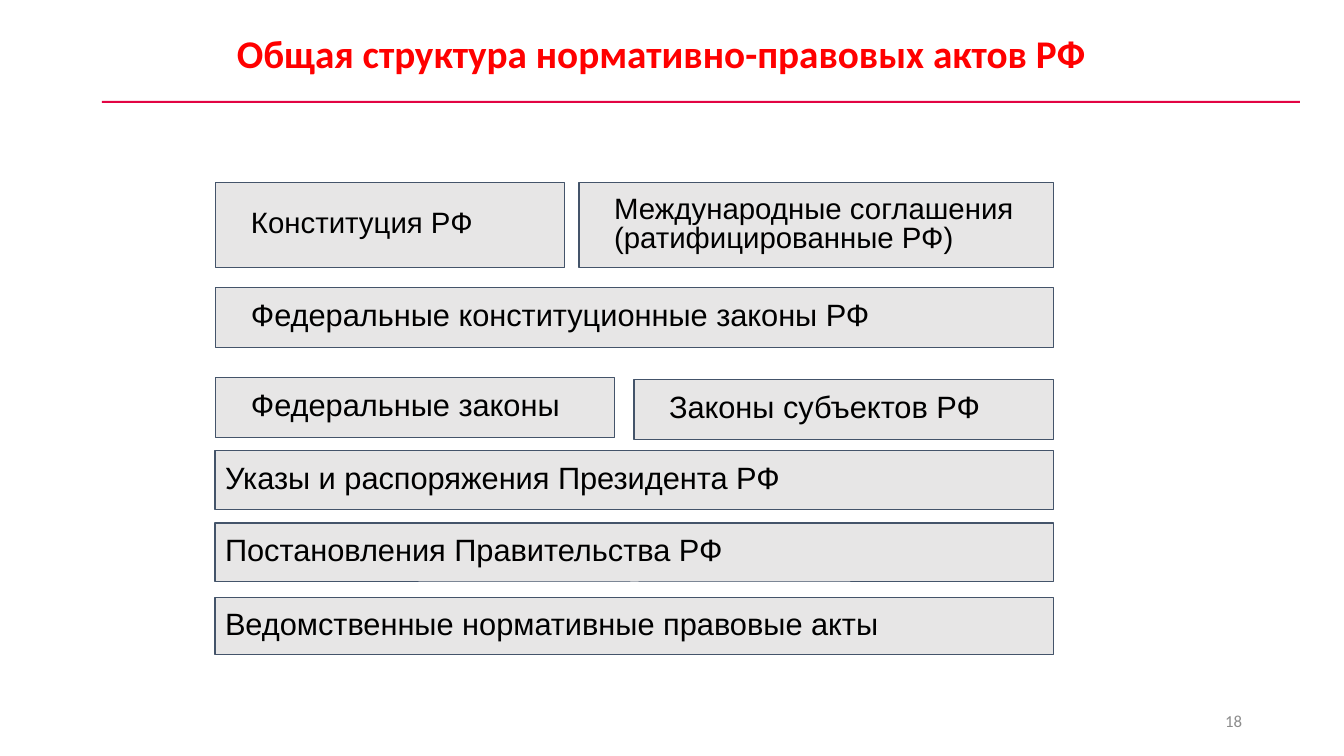
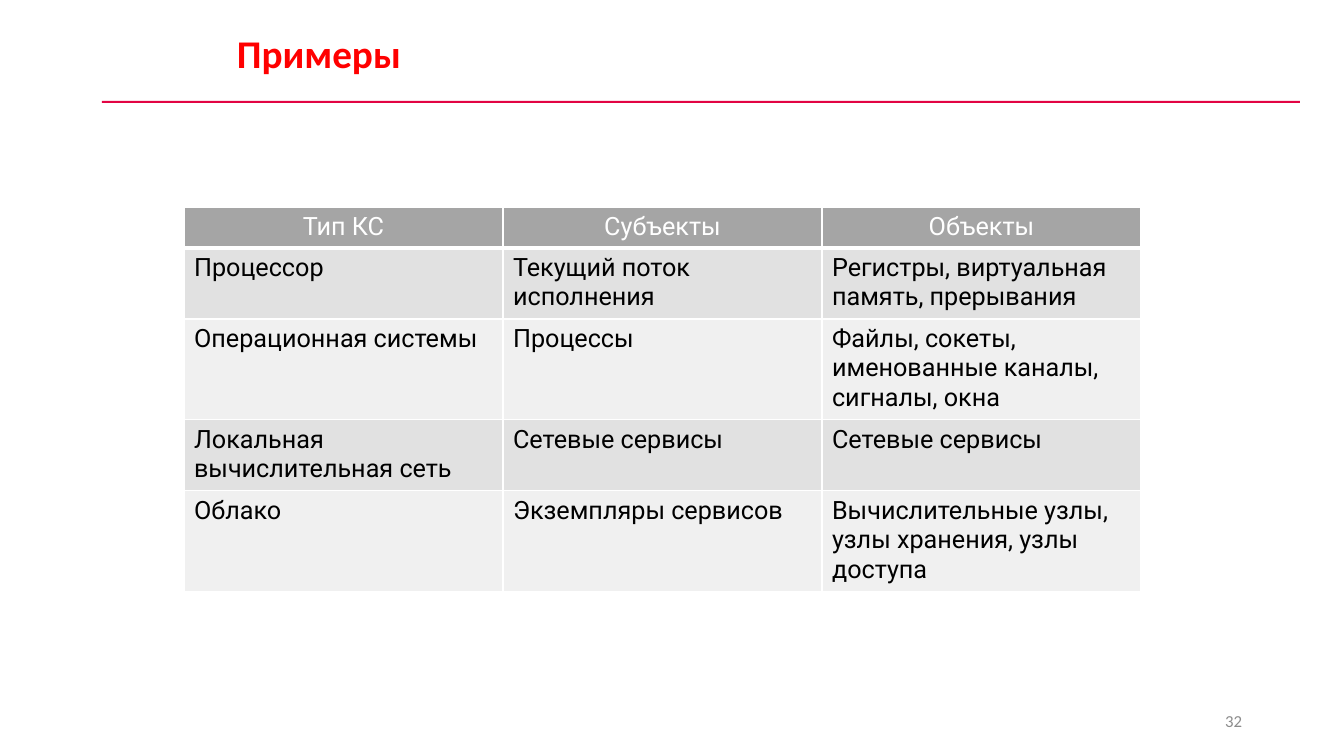
from collections import namedtuple

from lxml.etree import SubElement
from pptx import Presentation
from pptx.dml.color import RGBColor
from pptx.enum.shapes import MSO_SHAPE
from pptx.enum.text import MSO_ANCHOR, PP_ALIGN
from pptx.oxml import parse_xml
from pptx.oxml.ns import nsdecls, qn
from pptx.util import Emu, Pt

PX = 914400 / 100.8
PAGE_SIZE = (1344, 756)
COLORS = {
    "title": "FF0000",
    "rule": "E20443",
    "page_number": "8C8C8C",
    "act_fill": "E7E6E6",
    "act_line": "44546A",
    "text": "000000",
    "white": "FFFFFF",
    "header": "A5A5A5",
    "band_dark": "E1E1E1",
    "band_light": "F0F0F0",
}
Box = namedtuple("Box", "left top width height")
Act = namedtuple("Act", "text box size indent space", defaults=(22, 0, 10))

TITLE_FONT = {"name": "Calibri", "size": Pt(28), "bold": True}
NUMBER_FONT = {"name": "Calibri", "size": Pt(12)}
TABLE_FONT = {"name": "Roboto", "size": Pt(18), "bold": False}

INDENT = 25
ACTS_BOX = Box(215, 183, 839, 472)
# Boxes of the acts are relative to ACTS_BOX.
ACTS = [
    Act("Конституция РФ", Box(1, 0, 349, 85), 21, INDENT, 0),
    Act("Международные соглашения (ратифицированные РФ)",
        Box(364, 0, 475, 85), 21, INDENT, 0),
    Act("Федеральные конституционные законы РФ",
        Box(1, 105, 838, 60), indent=INDENT),
    Act("Федеральные законы", Box(1, 195, 399, 60), indent=INDENT),
    Act("Законы субъектов РФ", Box(419, 197, 420, 60), indent=INDENT),
    Act("Указы и распоряжения Президента РФ", Box(0, 268, 839, 59)),
    Act("Постановления Правительства РФ", Box(0, 340, 839, 59)),
    Act("Ведомственные нормативные правовые акты", Box(0, 415, 839, 57)),
]

TABLE_BOX = Box(184, 207, 957, 383)
ROW_HEIGHTS = [41, 71, 100, 71, 100]
EXAMPLES = [
    ["Тип КС", "Субъекты", "Объекты"],
    ["Процессор", "Текущий поток исполнения",
     "Регистры, виртуальная память, прерывания"],
    ["Операционная системы", "Процессы",
     "Файлы, сокеты, именованные каналы, сигналы, окна"],
    ["Локальная вычислительная сеть", "Сетевые сервисы", "Сетевые сервисы"],
    ["Облако", "Экземпляры сервисов",
     "Вычислительные узлы, узлы хранения, узлы доступа"],
]


def px(length):
    return Emu(round(length * PX))


def place(box):
    return [px(length) for length in box]


def color(name):
    return RGBColor.from_string(COLORS[name])


def set_all(target, values):
    for name, value in values.items():
        setattr(target, name, value)


def write(frame, text, font, color_name, paragraph=None):
    para = frame.paragraphs[0]
    set_all(para, paragraph or {})
    span = para.add_run()
    span.text = text
    set_all(span.font, font)
    span.font.color.rgb = color(color_name)
    return para


def add_text(page, box, text, font, color_name, frame=None, paragraph=None):
    text_frame = page.shapes.add_textbox(*place(box)).text_frame
    set_all(text_frame, {"word_wrap": True, **(frame or {})})
    write(text_frame, text, font, color_name, paragraph)


def add_rectangle(page, box, fill):
    shape = page.shapes.add_shape(MSO_SHAPE.RECTANGLE, *place(box))
    shape.shadow.inherit = False
    shape.fill.solid()
    shape.fill.fore_color.rgb = color(fill)
    shape.line.fill.background()
    return shape


def add_page(deck, title, number):
    """Adds a blank page with the shared title, rule and page number."""
    page = deck.slides.add_slide(deck.slide_layouts[6])
    add_rectangle(page, Box(102, 101, 1198, 2), "rule")
    add_text(page, Box(227, 24, 1080, 57), title, TITLE_FONT, "title")
    add_text(page, Box(950, 701, 302, 40), number, NUMBER_FONT, "page_number",
             {"vertical_anchor": MSO_ANCHOR.MIDDLE},
             {"alignment": PP_ALIGN.RIGHT})
    return page


def add_act(page, area, act):
    box = act.box._replace(left=area.left + act.box.left,
                           top=area.top + act.box.top)
    shape = add_rectangle(page, box, "act_fill")
    shape.line.color.rgb = color("act_line")
    shape.line.width = Pt(0.75)
    frame = shape.text_frame
    margins = {f"margin_{side}": px(10)
               for side in ("left", "top", "right", "bottom")}
    set_all(frame, {"word_wrap": True, "vertical_anchor": MSO_ANCHOR.MIDDLE,
                    **margins})
    para = write(frame, act.text, {"name": "Arial", "size": Pt(act.size)},
                 "text", {"alignment": PP_ALIGN.LEFT, "line_spacing": 0.8,
                          "space_before": Pt(act.space)})
    properties = para._p.get_or_add_pPr()
    properties.set("marL", str(px(act.indent)))
    properties.set("indent", "0")


def add_acts(page, area):
    for act in ACTS:
        add_act(page, area, act)


def add_borders(cell, bottom_width):
    """Draws white cell borders, one point wide except the bottom one."""
    properties = cell._tc.get_or_add_tcPr()
    widths = {"lnL": 1, "lnR": 1, "lnT": 1, "lnB": bottom_width}
    for position, (tag, width) in enumerate(widths.items()):
        border = parse_xml(f'<a:{tag} {nsdecls("a")} w="{Pt(width)}"/>')
        fill = SubElement(border, qn("a:solidFill"))
        SubElement(fill, qn("a:srgbClr"), val=COLORS["white"])
        properties.insert(position, border)


def fill_cell(cell, text, row_index):
    is_header = row_index == 0
    bands = ("band_light", "band_dark")
    cell.fill.solid()
    cell.fill.fore_color.rgb = color(
        "header" if is_header else bands[row_index % 2])
    add_borders(cell, 3 if is_header else 1)
    write(cell.text_frame, text, TABLE_FONT,
          "white" if is_header else "text",
          {"alignment": PP_ALIGN.CENTER if is_header else PP_ALIGN.LEFT})


def add_examples(page, area):
    columns = len(EXAMPLES[0])
    table = page.shapes.add_table(
        len(EXAMPLES), columns, *place(area)).table
    set_all(table, {"first_row": False, "horz_banding": False})
    for column in table.columns:
        column.width = px(area.width / columns)
    for row_index, texts in enumerate(EXAMPLES):
        table.rows[row_index].height = px(ROW_HEIGHTS[row_index])
        for column_index, text in enumerate(texts):
            fill_cell(table.cell(row_index, column_index), text, row_index)


def main():
    deck = Presentation()
    deck.slide_width, deck.slide_height = [px(side) for side in PAGE_SIZE]
    acts_page = add_page(
        deck, "Общая структура нормативно-правовых актов РФ", "18")
    add_acts(acts_page, ACTS_BOX)
    examples_page = add_page(deck, "Примеры", "32")
    add_examples(examples_page, TABLE_BOX)
    deck.save("out.pptx")


if __name__ == "__main__":
    main()
